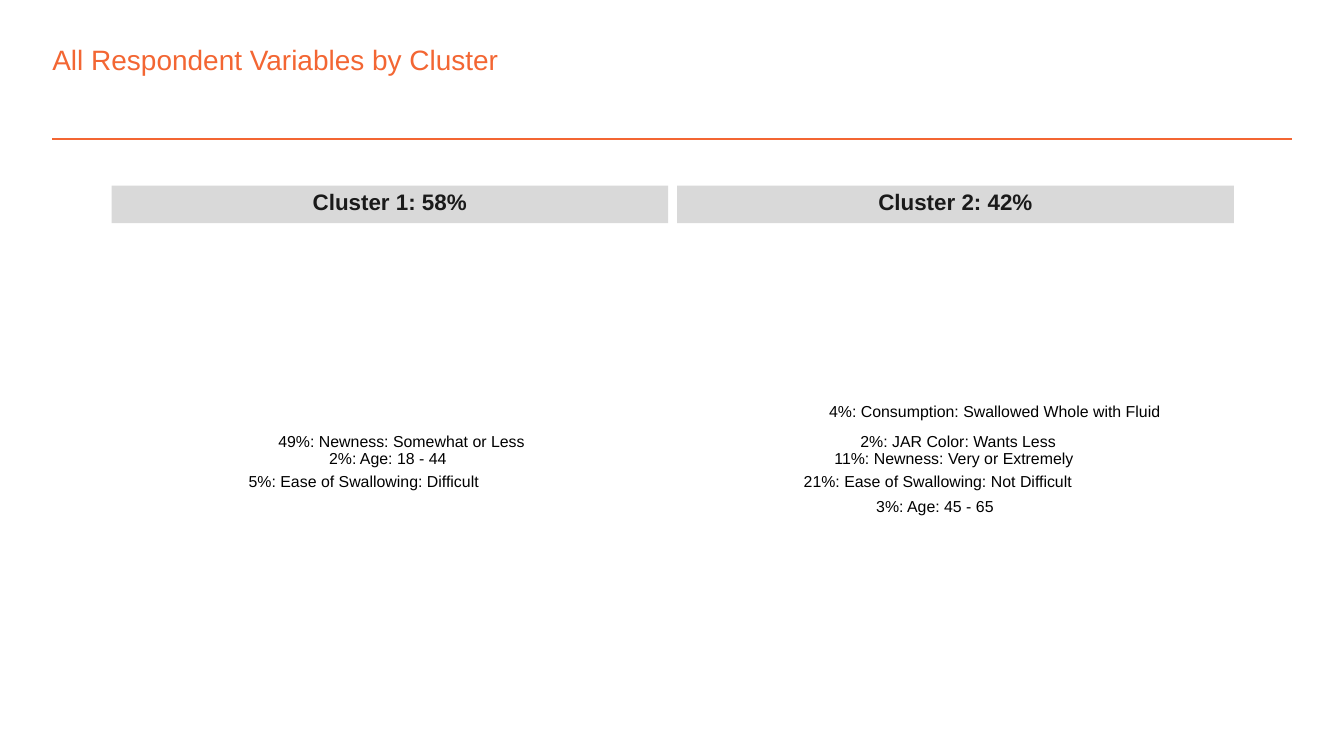
import dataclasses

import pptx
import pptx.dml.color
import pptx.enum.shapes
import pptx.enum.text
import pptx.oxml
import pptx.oxml.ns
import pptx.util

Cm = pptx.util.Cm
Pt = pptx.util.Pt
RGBColor = pptx.dml.color.RGBColor
MSO_ANCHOR = pptx.enum.text.MSO_ANCHOR
PP_ALIGN = pptx.enum.text.PP_ALIGN


@dataclasses.dataclass(frozen=True)
class Theme:
    font: str = "Arial"
    accent: str = "F36633"
    panel: str = "FFFFFF"
    bar: str = "D9D9D9"
    heading: str = "1A1A1A"
    text: str = "000000"
    title_size: float = 15
    heading_size: float = 12
    label_size: float = 8.5


THEME = Theme()
BAR_LEFT, BAR_TOP, BAR_WIDTH, BAR_HEIGHT = 2.11, 3.51, 10.52, 0.71
CLUSTER_STEP = 10.69
HEADING_WIDTH, HEADING_HEIGHT = 2.92, 0.33
LABEL_HEIGHT = 0.28

CLUSTERS = [
    ("Cluster 1: 58%", [
        ("2%: Age: 18 - 44", 6.22, 8.56, 2.24),
        ("49%: Newness: Somewhat or Less", 5.26, 8.23, 4.67),
        ("5%: Ease of Swallowing: Difficult", 4.7, 8.99, 4.37),
    ]),
    ("Cluster 2: 42%", [
        ("11%: Newness: Very or Extremely", 15.77, 8.56, 4.57),
        ("2%: JAR Color: Wants Less", 16.26, 8.23, 3.71),
        ("21%: Ease of Swallowing: Not Difficult", 15.19, 8.99, 5.08),
        ("3%: Age: 45 - 65", 16.56, 9.45, 2.24),
        ("4%: Consumption: Swallowed Whole with Fluid", 15.67, 7.67, 6.27),
    ]),
]


def write_text(shape, text, size, color, anchor, bold=False):
    frame = shape.text_frame
    frame.margin_left = frame.margin_right = 0
    frame.margin_top = frame.margin_bottom = 0
    frame.vertical_anchor = anchor
    paragraph = frame.paragraphs[0]
    paragraph.alignment = PP_ALIGN.LEFT
    run = paragraph.add_run()
    run.text = text
    run.font.name = THEME.font
    run.font.size = Pt(size)
    run.font.bold = bold
    run.font.color.rgb = RGBColor.from_string(color)
    return paragraph


def set_title(slide, text):
    title = slide.shapes.title
    title.left, title.top = Cm(0.99), Cm(0.81)
    title.width, title.height = Cm(21.06), Cm(0.64)
    write_text(title, text, THEME.title_size, THEME.accent, MSO_ANCHOR.TOP)
    title.text_frame.auto_size = pptx.enum.text.MSO_AUTO_SIZE.SHAPE_TO_FIT_TEXT


def add_rule(slide):
    rule = slide.shapes.add_connector(
        pptx.enum.shapes.MSO_CONNECTOR.STRAIGHT,
        Cm(0.99), Cm(2.62), Cm(24.41), Cm(2.62))
    rule.line.color.rgb = RGBColor.from_string(THEME.accent)
    rule.line.width = Pt(1)
    properties = rule._element.spPr
    properties.append(pptx.oxml.parse_xml(
        f'<a:effectLst {pptx.oxml.ns.nsdecls("a")}/>'))


def add_rectangle(group, left, top, width, height, fill, outlined=False):
    shape = group.shapes.add_shape(
        pptx.enum.shapes.MSO_SHAPE.RECTANGLE,
        Cm(left), Cm(top), Cm(width), Cm(height))
    shape.shadow.inherit = False
    shape.fill.solid()
    shape.fill.fore_color.rgb = RGBColor.from_string(fill)
    if outlined:
        shape.line.color.rgb = RGBColor.from_string(fill)
        shape.line.width = Pt(0.75)
    else:
        shape.line.fill.background()


def add_label(group, text, left, top, width, height, size, color, bold=False):
    box = group.shapes.add_textbox(Cm(left), Cm(top), Cm(width), Cm(height))
    box.text_frame.word_wrap = False
    paragraph = write_text(box, text, size, color, MSO_ANCHOR.MIDDLE, bold)
    paragraph.line_spacing = Pt(size)


def add_heading(group, text, left):
    add_rectangle(group, left, BAR_TOP, BAR_WIDTH, BAR_HEIGHT, THEME.bar)
    add_label(group, text, left + (BAR_WIDTH - HEADING_WIDTH) / 2, BAR_TOP + 0.17,
              HEADING_WIDTH, HEADING_HEIGHT, THEME.heading_size, THEME.heading, True)


def add_clusters(slide):
    group = slide.shapes.add_group_shape()
    add_rectangle(group, 1.91, 3.3, 21.59, 10.16, THEME.panel, outlined=True)
    for index, (heading, labels) in enumerate(CLUSTERS):
        for text, left, top, width in labels:
            add_label(group, text, left, top, width, LABEL_HEIGHT,
                      THEME.label_size, THEME.text)
        add_heading(group, heading, BAR_LEFT + index * CLUSTER_STEP)


def main():
    presentation = pptx.Presentation()
    presentation.slide_width = Cm(25.4)
    presentation.slide_height = Cm(14.29)
    slide = presentation.slides.add_slide(presentation.slide_layouts[5])
    add_rule(slide)
    set_title(slide, "All Respondent Variables by Cluster")
    add_clusters(slide)
    presentation.save("out.pptx")


if __name__ == "__main__":
    main()
